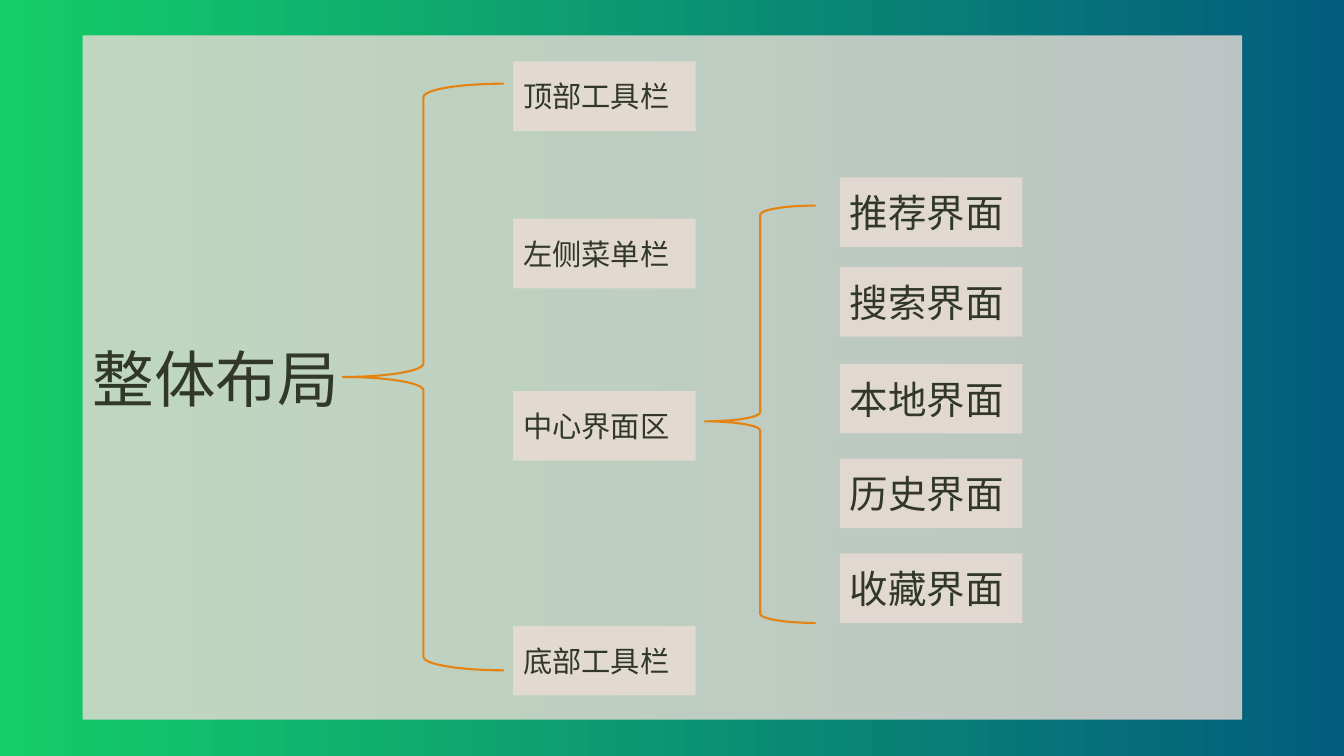
from lxml.etree import SubElement
from pptx import Presentation
from pptx.dml.color import RGBColor
from pptx.enum.shapes import MSO_SHAPE
from pptx.enum.text import MSO_ANCHOR, PP_ALIGN
from pptx.oxml.ns import qn
from pptx.util import Inches, Pt

FONT = "Noto Sans CJK SC"
COLORS = {
    "left": "14CD68",
    "right": "035C7D",
    "panel": "EBDCD5",
    "text": "313829",
    "brace": "E48312",
}
TITLE = "整体布局"
TITLE_PLACE = (0.82, 0.35, 11.5, 6.79)
LABEL_SIZE = (1.81, 0.69)
COLUMNS = [
    {
        "left": 5.09,
        "size": 20.9,
        "labels": [("顶部工具栏", 0.61), ("左侧菜单栏", 2.17),
                   ("中心界面区", 3.88), ("底部工具栏", 6.21)],
    },
    {
        "left": 8.33,
        "size": 27.5,
        "labels": [("推荐界面", 1.76), ("搜索界面", 2.65), ("本地界面", 3.61),
                   ("历史界面", 4.55), ("收藏界面", 5.49)],
    },
]
BRACES = [((3.4, 0.83, 1.6, 5.82), 0.5), ((6.99, 2.04, 1.1, 4.14), 0.517)]


def color(name):
    return RGBColor.from_string(COLORS[name])


def add_panel(page, text, place, size, opacity=80):
    """Add a translucent rectangle with left-aligned text."""
    box = page.shapes.add_shape(MSO_SHAPE.RECTANGLE, *map(Inches, place))
    box.shadow.inherit = False
    box.line.fill.background()
    box.fill.solid()
    box.fill.fore_color.rgb = color("panel")
    tint = box.fill._xPr.find(qn("a:solidFill"))[0]
    SubElement(tint, qn("a:alpha"), val=str(opacity * 1000))
    frame = box.text_frame
    frame.word_wrap = True
    frame.vertical_anchor = MSO_ANCHOR.MIDDLE
    para = frame.paragraphs[0]
    para.alignment = PP_ALIGN.LEFT
    span = para.add_run()
    span.text = text
    span.font.size = Pt(size)
    span.font.name = FONT
    span.font.color.rgb = color("text")
    SubElement(span.font._element, qn("a:ea"), typeface=FONT)


def add_brace(page, place, middle):
    brace = page.shapes.add_shape(MSO_SHAPE.LEFT_BRACE, *map(Inches, place))
    brace.shadow.inherit = False
    brace.fill.background()
    brace.line.color.rgb = color("brace")
    brace.line.width = Pt(1.5)
    brace.adjustments[0] = 0.083
    brace.adjustments[1] = middle


def paint_background(page):
    fill = page.background.fill
    fill.gradient()
    fill.gradient_angle = 0
    for stop, name, position in zip(fill.gradient_stops, ("left", "right"), (0, 1)):
        stop.color.rgb = color(name)
        stop.position = position


def main():
    deck = Presentation()
    deck.slide_width, deck.slide_height = Inches(13.33), Inches(7.5)
    page = deck.slides.add_slide(deck.slide_layouts[6])
    paint_background(page)
    add_panel(page, TITLE, TITLE_PLACE, size=44)
    for column in COLUMNS:
        for text, top in column["labels"]:
            add_panel(page, text, (column["left"], top, *LABEL_SIZE), size=column["size"])
    for place, middle in BRACES:
        add_brace(page, place, middle)
    deck.save("out.pptx")


if __name__ == "__main__":
    main()
